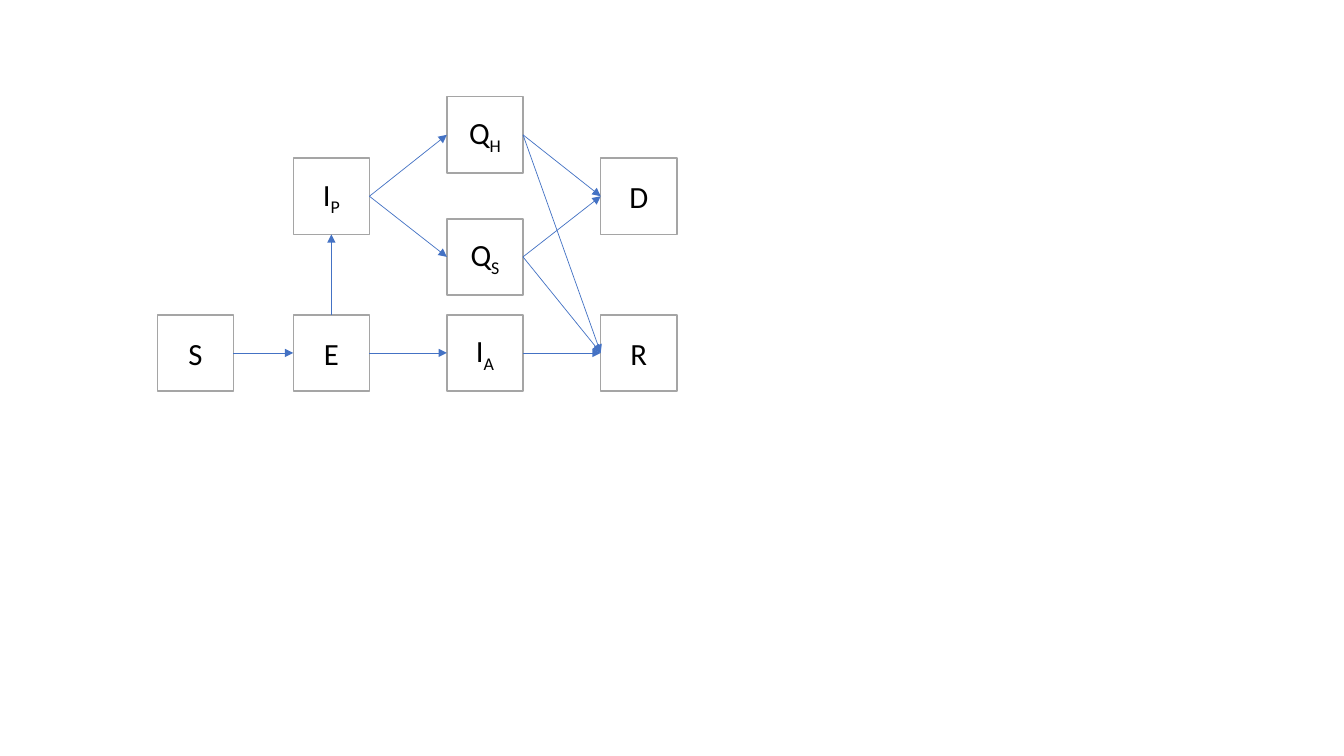
import pptx
import pptx.dml.color
import pptx.enum.shapes
import pptx.enum.text
import pptx.oxml
import pptx.oxml.ns
import pptx.util

Pt = pptx.util.Pt
RGB = pptx.dml.color.RGBColor
WHITE = RGB(0xFF, 0xFF, 0xFF)
BLACK = RGB(0, 0, 0)
GRAY = RGB(0xA5, 0xA5, 0xA5)
BLUE = RGB(0x44, 0x72, 0xC4)

SIDE = 54.4
COLS = (0, 97.2, 206.9, 316.8)
ROWS = (0, 43.9, 87.2, 155.8)
TOP, LEFT, BOTTOM, RIGHT = range(4)  # connection sites of a rectangle

# Label (letter plus subscript): column, row
STATES = {
    "S": (0, 3), "E": (1, 3), "IP": (1, 1), "IA": (2, 3),
    "QH": (2, 0), "QS": (2, 2), "D": (3, 1), "R": (3, 3),
}
FLOWS = (
    ("S", "E"), ("E", "IA"), ("IP", "QH"), ("IP", "QS"), ("QH", "D"),
    ("QS", "D"), ("IA", "R"), ("QH", "R"), ("QS", "R"),
)


def add_state(slide, label, left, top):
    """Draw a square holding a letter and its optional subscript."""
    state = slide.shapes.add_shape(
        pptx.enum.shapes.MSO_SHAPE.RECTANGLE,
        Pt(left), Pt(top), Pt(SIDE), Pt(SIDE))
    state.shadow.inherit = False
    state.fill.solid()
    state.fill.fore_color.rgb = WHITE
    state.line.color.rgb = GRAY
    state.line.width = Pt(1)
    frame = state.text_frame
    frame.vertical_anchor = pptx.enum.text.MSO_ANCHOR.MIDDLE
    para = frame.paragraphs[0]
    para.alignment = pptx.enum.text.PP_ALIGN.CENTER
    para.font.name = "Calibri"
    para.font.size = Pt(22)
    para.font.color.rgb = BLACK
    para.add_run().text = label[0]
    if label[1:]:
        sub = para.add_run()
        sub.text = label[1:]
        sub.font._element.set("baseline", "-25000")
    return state


def add_flow(slide, start, end, exit=RIGHT, entry=LEFT):
    """Join two states with an arrow between the given sites."""
    flow = slide.shapes.add_connector(
        pptx.enum.shapes.MSO_CONNECTOR.STRAIGHT, 0, 0, 0, 0)
    flow.begin_connect(start, exit)
    flow.end_connect(end, entry)
    flow.line.color.rgb = BLUE
    flow.line.width = Pt(0.5)
    tip = pptx.oxml.parse_xml(
        f'<a:tailEnd {pptx.oxml.ns.nsdecls("a")} type="triangle"/>')
    flow.line._get_or_add_ln().append(tip)
    flow._element.spPr.append(pptx.oxml.parse_xml(
        f'<a:effectLst {pptx.oxml.ns.nsdecls("a")}/>'))


def add_model(slide, left, top):
    """Draw the compartment model with its top left corner at a point."""
    states = {
        label: add_state(slide, label, left + COLS[col], top + ROWS[row])
        for label, (col, row) in STATES.items()
    }
    for start, end in FLOWS:
        add_flow(slide, states[start], states[end])
    add_flow(slide, states["E"], states["IP"], TOP, BOTTOM)


def main():
    deck = pptx.Presentation()
    deck.slide_width, deck.slide_height = Pt(960), Pt(540)
    slide = deck.slides.add_slide(deck.slide_layouts[6])
    add_model(slide, 112.3, 69.1)
    deck.save("out.pptx")


if __name__ == "__main__":
    main()
